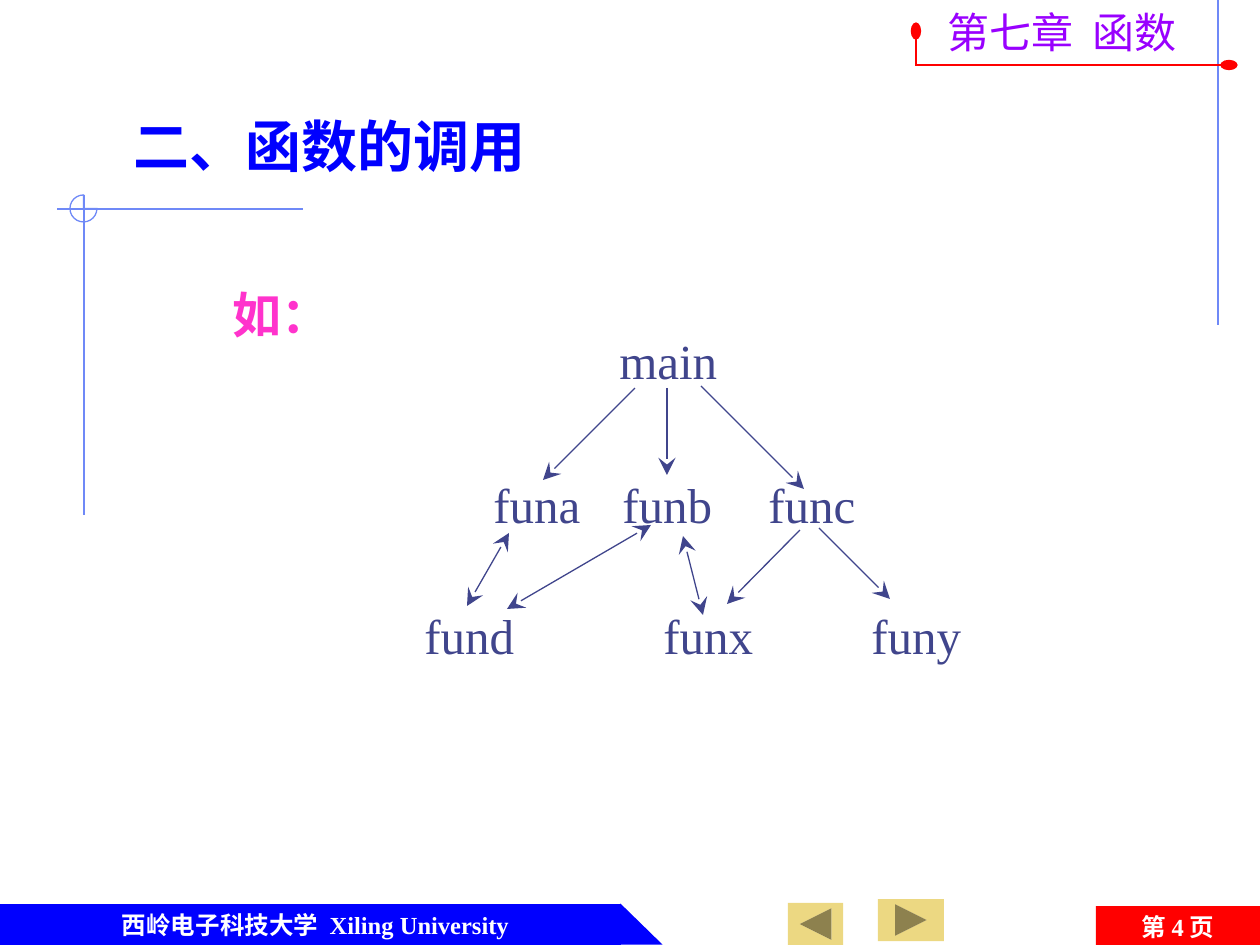
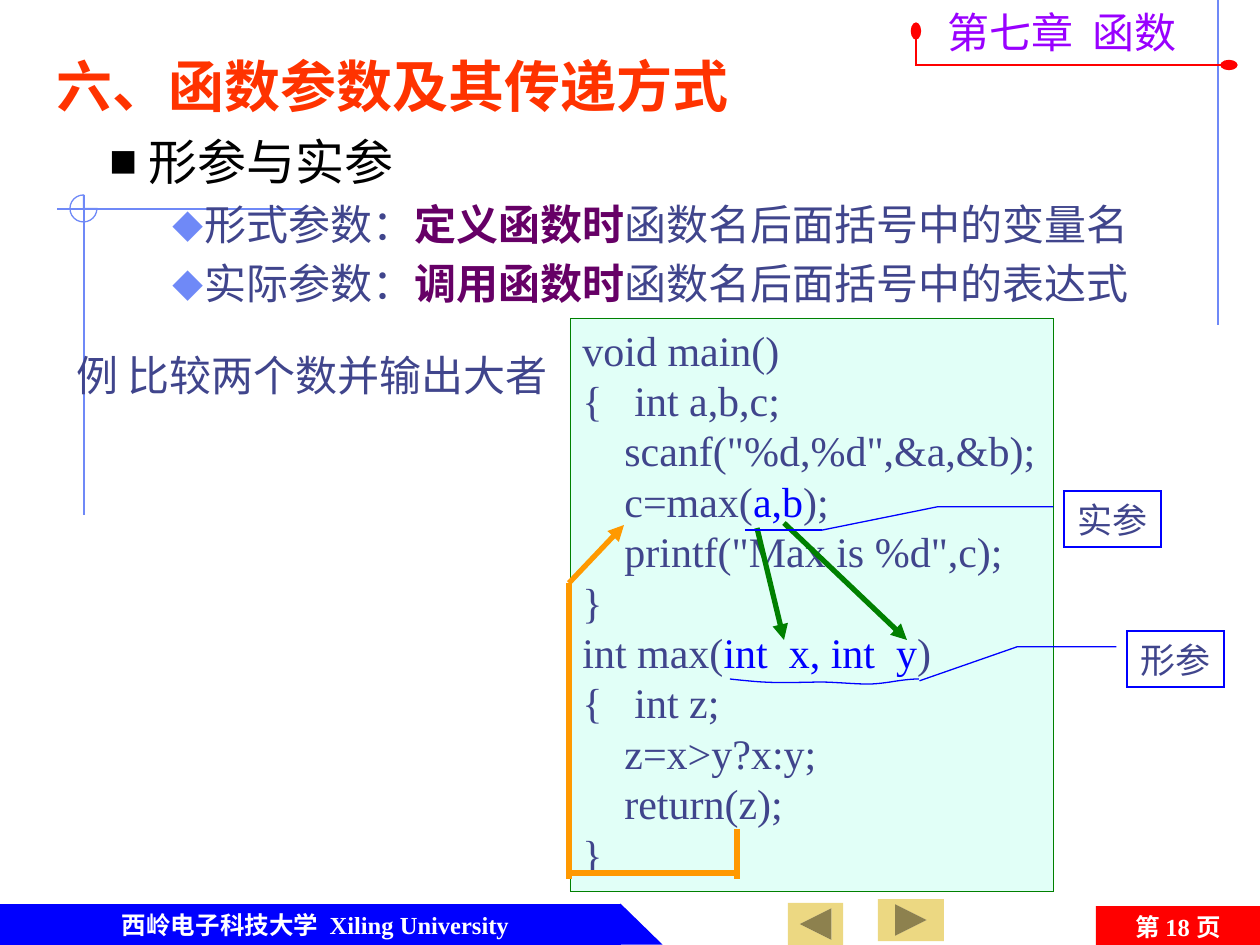
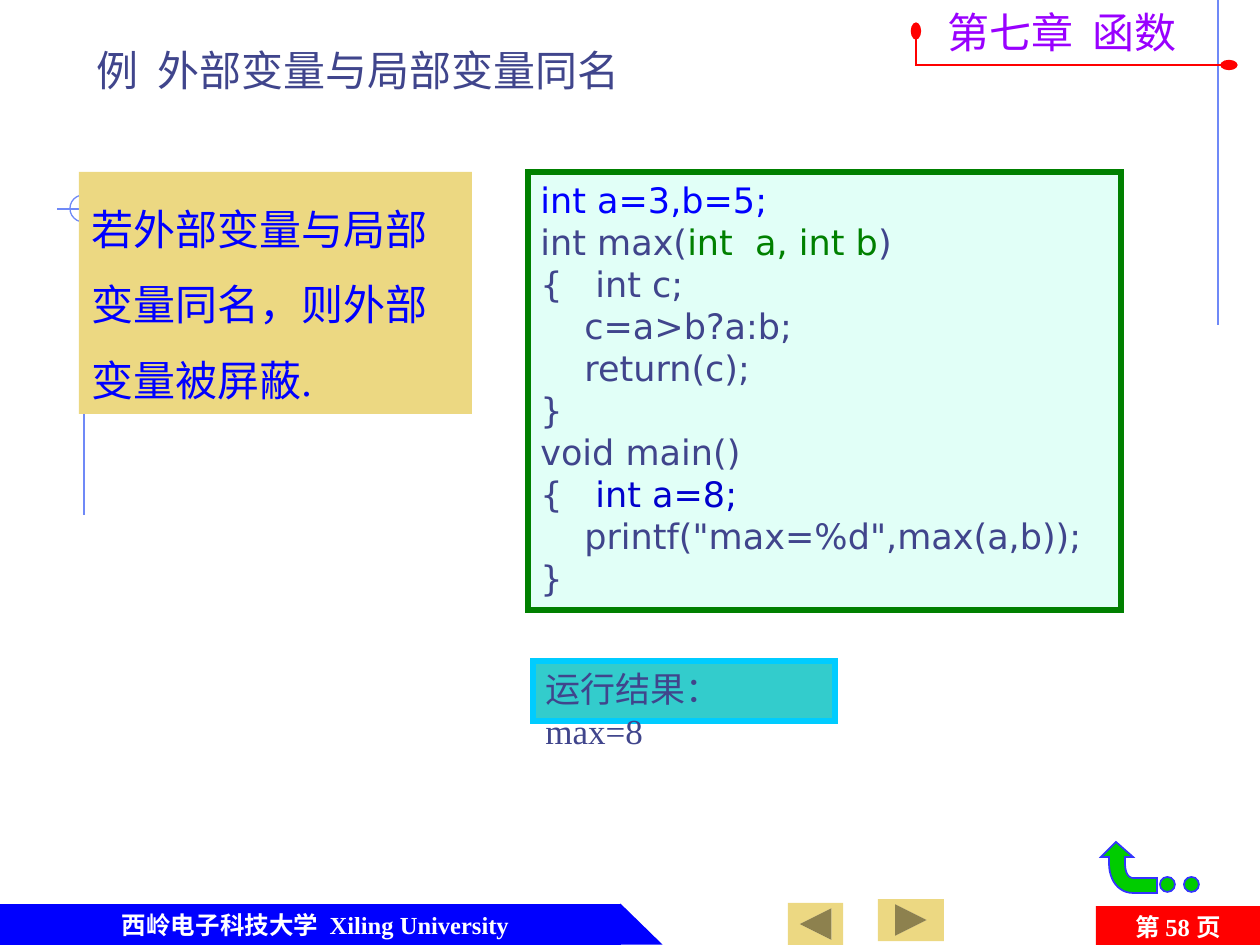
"""Build three lecture slides on functions in C."""
from dataclasses import dataclass, replace
from typing import NamedTuple, Optional, Sequence, Union

from lxml import etree
from pptx import Presentation
from pptx import util as u
from pptx.dml.color import RGBColor
from pptx.enum import shapes, text
from pptx.oxml.ns import qn

EMU_PER_PX = 914400 / 126
KIND = shapes.MSO_SHAPE
LEFT, CENTER = text.PP_ALIGN.LEFT, text.PP_ALIGN.CENTER
TOP, MIDDLE, BOTTOM = text.MSO_ANCHOR.TOP, text.MSO_ANCHOR.MIDDLE, text.MSO_ANCHOR.BOTTOM
HEAD_SIZES = {"stealth": ("lg", "lg"), "oval": ("med", "lg"), "triangle": ("med", "med")}


@dataclass(frozen=True)
class Theme:
    """Colours, fonts and type sizes of the deck."""

    ink: str = "40458C"
    frame: str = "6F89F7"
    blue: str = "0000FF"
    navy: str = "0000CC"
    red: str = "FF0000"
    vermilion: str = "FF3300"
    pink: str = "FF33CC"
    violet: str = "9900FF"
    plum: str = "660066"
    green: str = "008000"
    lime: str = "00CC00"
    indigo: str = "3333FF"
    orange: str = "FF9900"
    gold: str = "ECD882"
    mint: str = "E1FFF7"
    teal: str = "33CCCC"
    sky: str = "00CCFF"
    white: str = "FFFFFF"
    black: str = "000000"
    serif: str = "Times New Roman"
    sans: str = "Noto Sans CJK SC"
    code: str = "DejaVu Sans"
    body: str = "Cabin"
    title: int = 32
    large: int = 28
    normal: int = 24
    small: int = 20
    footer: int = 14
    leading: float = 1.2
    thin: float = 0.75
    thick: float = 3


THEME = Theme()


class Box(NamedTuple):
    """A rectangle in px."""

    left: int
    top: int
    width: int
    height: int


class Point(NamedTuple):
    """A place in px."""

    x: float
    y: float


class Curve(NamedTuple):
    """A cubic curve: two control points and its end."""

    first: Point
    second: Point
    end: Point


@dataclass(frozen=True)
class Style:
    """The look of a piece of text."""

    size: int = THEME.normal
    color: str = THEME.ink
    font: str = THEME.serif
    bold: bool = False


class Span(NamedTuple):
    """Text with what differs from the style of its line."""

    text: str
    changes: dict = {}


class Bullet(NamedTuple):
    """A list mark."""

    mark: str
    percent: int
    color: str


@dataclass(frozen=True)
class Line:
    """One paragraph."""

    spans: Sequence[Span]
    style: Style
    indent: int = 0
    hanging: int = 0
    level: int = 0
    before: float = 0
    bullet: Optional[Bullet] = None


class Arrow(NamedTuple):
    """A straight line with optional arrowheads."""

    start: Point
    end: Point
    head: str = ""
    tail: str = ""


class Callout(NamedTuple):
    """A label with a bent leader."""

    label: str
    box: Box
    leader: Sequence[float]


Row = Union[str, Sequence[Span]]


def px(length: float) -> u.Emu:
    """Turn px into EMU."""
    return u.Emu(round(length * EMU_PER_PX))


def rgb(color: str) -> RGBColor:
    """Turn a hex colour into an RGBColor."""
    return RGBColor.from_string(color)


def add_xml(parent, tag: str, **attributes):
    """Append a DrawingML element."""
    return etree.SubElement(parent, qn(f"a:{tag}"), attributes)


def set_font(font, style: Style) -> None:
    """Apply a style to a font."""
    font.size, font.name, font.bold = u.Pt(style.size), style.font, style.bold
    font.color.rgb = rgb(style.color)


def set_layout(paragraph, line: Line) -> None:
    """Apply indents and bullet to a paragraph."""
    properties = paragraph._p.get_or_add_pPr()
    properties.set("marL", str(px(line.indent)))
    properties.set("indent", str(px(-line.hanging)))
    if line.bullet:
        add_xml(add_xml(properties, "buClr"), "srgbClr", val=line.bullet.color)
        add_xml(properties, "buSzPct", val=str(line.bullet.percent * 1000))
        add_xml(properties, "buFont", typeface=THEME.code)
        add_xml(properties, "buChar", char=line.bullet.mark)


def write(shape, lines: Sequence[Line], align=LEFT, anchor=TOP,
          wrap: bool = True, spacing: float = 1) -> None:
    """Fill a shape with paragraphs."""
    frame = shape.text_frame
    frame.auto_size = text.MSO_AUTO_SIZE.NONE
    frame.word_wrap, frame.vertical_anchor = wrap, anchor
    for index, line in enumerate(lines):
        paragraph = frame.add_paragraph() if index else frame.paragraphs[0]
        set_layout(paragraph, line)
        paragraph.level, paragraph.alignment = line.level, align
        paragraph.line_spacing = u.Pt(line.style.size * THEME.leading * spacing)
        paragraph.space_before = u.Pt(line.before)
        styles = [replace(line.style, **span.changes) for span in line.spans]
        if len(set(styles)) == 1:
            paragraph.text = "".join(span.text for span in line.spans)
            set_font(paragraph.font, styles[0])
            continue
        for span, style in zip(line.spans, styles):
            run = paragraph.add_run()
            run.text = span.text
            set_font(run.font, style)


def plain(words: str, style: Style) -> list[Line]:
    """Make a single paragraph in one style."""
    return [Line([Span(words)], style)]


def code_lines(rows: Sequence[Row], style: Style, indent: int, brace: int) -> list[Line]:
    """Turn rows into paragraphs; a leading tab indents, a tab after a brace hangs."""
    lines = []
    for row in rows:
        spans = [Span(row)] if isinstance(row, str) else list(row)
        first = spans[0].text
        spans[0] = spans[0]._replace(text=first.lstrip("\t"))
        if first.startswith("\t"):
            lines.append(Line(spans, style, indent))
        elif "\t" in first:
            lines.append(Line(spans, style, brace, brace))
        else:
            lines.append(Line(spans, style))
    return lines


def paint(shape, fill: str = "", line: str = "", width: float = THEME.thin) -> None:
    """Set fill and mitred outline, and drop the shadow."""
    shape.shadow.inherit = False
    if fill:
        shape.fill.solid()
        shape.fill.fore_color.rgb = rgb(fill)
    else:
        shape.fill.background()
    if line:
        shape.line.color.rgb, shape.line.width = rgb(line), u.Pt(width)
        add_xml(shape.element.spPr.find(qn("a:ln")), "miter", lim="800000")
    else:
        shape.line.fill.background()


def add_shape(slide, kind, box: Box, fill: str = "", line: str = "", width: float = THEME.thin):
    """Add a preset shape."""
    shape = slide.shapes.add_shape(kind, *map(px, box))
    paint(shape, fill, line, width)
    return shape


def add_text(slide, box: Box, lines: Sequence[Line], **options) -> None:
    """Add a text box."""
    write(slide.shapes.add_textbox(*map(px, box)), lines, **options)


def add_ends(shape, head: str, tail: str) -> None:
    """Put arrowheads on a line."""
    outline = shape.element.spPr.find(qn("a:ln"))
    for tag, kind in (("headEnd", head), ("tailEnd", tail)):
        if kind:
            width, length = HEAD_SIZES[kind]
            add_xml(outline, tag, type=kind, w=width, len=length)


def add_arrow(slide, arrow: Arrow, color: str, width: float = THEME.thin) -> None:
    """Add a straight connector."""
    connector = slide.shapes.add_connector(
        shapes.MSO_CONNECTOR.STRAIGHT, *map(px, (*arrow.start, *arrow.end)))
    connector.line.color.rgb, connector.line.width = rgb(color), u.Pt(width)
    add_ends(connector, arrow.head, arrow.tail)
    add_xml(connector.element.spPr, "effectLst")


def trace(steps: Sequence[Union[Point, Curve]], pieces: int = 12) -> list[Point]:
    """Turn points and curves into a chain of points."""
    points: list[Point] = []
    for step in steps:
        if isinstance(step, Point):
            points.append(step)
            continue
        nodes = (points[-1], *step)
        for index in range(1, pieces + 1):
            t = index / pieces
            weights = ((1 - t) ** 3, 3 * t * (1 - t) ** 2, 3 * t * t * (1 - t), t ** 3)
            points.append(Point(sum(w * n.x for w, n in zip(weights, nodes)),
                                sum(w * n.y for w, n in zip(weights, nodes))))
    return points


def add_outline(slide, steps, line: str, width: float, fill: str = "", close: bool = False):
    """Add a freeform along points and curves."""
    first, *rest = [(px(x), px(y)) for x, y in trace(steps)]
    builder = slide.shapes.build_freeform(*first)
    builder.add_line_segments(rest, close=close)
    shape = builder.convert_to_shape()
    paint(shape, fill, line, width)
    return shape


def add_frame(slide, number: int) -> None:
    """Draw the rules, chapter mark and footer shared by all slides."""
    for start, end in ((Point(1218, 0), Point(1218, 325)), (Point(303, 209), Point(57, 209)),
                       (Point(84, 195), Point(84, 515))):
        add_arrow(slide, Arrow(start, end), THEME.frame)
    add_shape(slide, KIND.PIE, Box(70, 195, 27, 27), line=THEME.frame)
    add_shape(slide, KIND.RECTANGLE, Box(0, 905, 620, 39), THEME.blue, THEME.blue)
    add_shape(slide, KIND.RIGHT_TRIANGLE, Box(621, 905, 40, 39), THEME.blue, THEME.blue)
    footer = Style(THEME.footer, THEME.white, bold=True)
    add_text(slide, Box(36, 904, 559, 39),
             plain("西岭电子科技大学  Xiling University", footer), align=CENTER)
    page = add_shape(slide, KIND.RECTANGLE, Box(1096, 906, 164, 41), THEME.red)
    sans = {"font": THEME.sans}
    write(page, [Line([Span("第 ", sans), Span(f"{number} "), Span("页", sans)], footer)],
          align=CENTER)
    add_shape(slide, KIND.ACTION_BUTTON_FORWARD_OR_NEXT, Box(878, 899, 66, 42), THEME.gold)
    back = add_shape(slide, KIND.ACTION_BUTTON_FORWARD_OR_NEXT, Box(788, 903, 55, 42), THEME.gold)
    back.rotation = 180
    add_text(slide, Box(935, 0, 277, 63),
             plain("第七章  函数", Style(color=THEME.violet, font=THEME.sans)))
    bracket = add_outline(slide, [Point(916, 31), Point(916, 65), Point(1229, 65)], THEME.red, 1.5)
    add_ends(bracket, "oval", "oval")


def add_slide(presentation, number: int, title: str, box: Box, style: Style, anchor=TOP):
    """Add a slide with its title and the shared frame."""
    slide = presentation.slides.add_slide(presentation.slide_layouts[5])
    shape = slide.shapes.title
    shape.left, shape.top, shape.width, shape.height = map(px, box)
    write(shape, plain(title, style), anchor=anchor)
    add_frame(slide, number)
    return slide


def build_calls(presentation) -> None:
    """Show which function calls which."""
    slide = add_slide(presentation, 4, "二、函数的调用", Box(121, 105, 625, 79),
                      Style(THEME.title, THEME.blue, bold=True))
    add_text(slide, Box(220, 278, 141, 72), plain("如：", Style(THEME.large, THEME.pink, bold=True)))
    functions = (("main", 607, 324), ("funa", 481, 468), ("funb", 610, 468), ("func", 756, 468),
                 ("fund", 412, 599), ("funx", 651, 599), ("funy", 859, 599))
    for name, left, top in functions:
        width = 123 if name == "main" else 114
        add_text(slide, Box(left, top, width, 72), plain(name, Style(THEME.large)), wrap=False)
    one_way = ((667, 388, 667, 475), (701, 386, 804, 489), (635, 388, 543, 480),
               (800, 530, 727, 604), (819, 528, 890, 599))
    two_way = ((509, 533, 467, 606), (651, 525, 507, 609), (683, 536, 703, 615))
    for calls, head in ((one_way, ""), (two_way, "stealth")):
        for x1, y1, x2, y2 in calls:
            add_arrow(slide, Arrow(Point(x1, y1), Point(x2, y2), head, "stealth"), THEME.ink)


def build_parameters(presentation) -> None:
    """Explain formal and actual parameters."""
    slide = add_slide(presentation, 18, "六、函数参数及其传递方式", Box(44, 45, 903, 79),
                      Style(THEME.title, THEME.vermilion, THEME.sans, True))
    blue = {"color": THEME.blue}
    code = add_shape(slide, KIND.RECTANGLE, Box(570, 318, 483, 573), THEME.mint, THEME.green, 0.25)
    rows: list[Row] = [
        "void main()", "{\tint a,b,c;", '\tscanf("%d,%d",&a,&b);',
        [Span("\tc=max("), Span("a,b", blue), Span(");")],
        '\tprintf("Max is %d",c);', "}",
        [Span("int max("), Span("int  x, int  y", blue), Span(")")],
        "{\tint z;", "\tz=x>y?x:y;", "\treturn(z);", "}"]
    write(code, code_lines(rows, Style(), indent=42, brace=52))

    heading = Style(THEME.large, THEME.black, THEME.body)
    detail = Style(font=THEME.body)
    strong = {"color": THEME.plum, "bold": True}
    lines = [Line([Span("形参与实参")], heading, 102, 39, level=1, before=5.6,
                  bullet=Bullet("■", 60, THEME.black))]
    for term, moment, meaning in (("形式参数：", "定义函数时", "函数名后面括号中的变量名"),
                                  ("实际参数：", "调用函数时", "函数名后面括号中的表达式")):
        lines.append(Line([Span(term), Span(moment, strong), Span(meaning)], detail, 158, 32,
                          level=2, before=4.8, bullet=Bullet("◆", 95, THEME.frame)))
    add_text(slide, Box(34, 125, 1178, 291), lines)

    for start, end in ((Point(757, 528), Point(784, 640)), (Point(784, 523), Point(907, 640))):
        add_arrow(slide, Arrow(start, end, tail="triangle"), THEME.green, THEME.thick)
    for start, end, tail in ((Point(737, 829), Point(737, 879), ""),
                             (Point(739, 873), Point(570, 873), ""),
                             (Point(569, 879), Point(569, 583), ""),
                             (Point(569, 583), Point(624, 525), "triangle")):
        add_arrow(slide, Arrow(start, end, tail=tail), THEME.orange, THEME.thick)
    add_text(slide, Box(64, 343, 498, 63), plain("例 比较两个数并输出大者", Style()), wrap=False)

    wave = [Point(730, 679), Curve(Point(766, 683), Point(775, 683), Point(819, 682)),
            Curve(Point(835, 682), Point(852, 684), Point(868, 684)),
            Curve(Point(886, 684), Point(901, 679), Point(919, 679))]
    add_outline(slide, wave, THEME.blue, THEME.thin)
    add_arrow(slide, Arrow(Point(745, 530), Point(822, 530)), THEME.blue)
    for callout in (
            Callout("形参", Box(1127, 631, 97, 56), (0.28, -0.11, 0.28, -1.13, 0.89, -2.14)),
            Callout("实参", Box(1064, 491, 97, 56), (0.28, -0.11, 0.28, -1.3, 0.7, -2.5))):
        shape = add_shape(slide, KIND.LINE_CALLOUT_2, callout.box, THEME.white, THEME.blue)
        for index, value in enumerate(callout.leader):
            shape.adjustments[index] = value
        write(shape, plain(callout.label, Style(THEME.small)), CENTER, MIDDLE, wrap=False)


def build_scope(presentation) -> None:
    """Show a local variable hiding an external one."""
    slide = add_slide(presentation, 58, "例  外部变量与局部变量同名", Box(84, 42, 1071, 59),
                      Style(), BOTTOM)
    code = add_shape(slide, KIND.RECTANGLE, Box(528, 172, 593, 438),
                     THEME.mint, THEME.green, THEME.thick)
    rows: list[Row] = [
        [Span("int a=3,b=5;", {"color": THEME.blue})],
        [Span("int max("), Span("int  a, int b", {"color": THEME.green}), Span(")")],
        "{\tint c;", "\tc=a>b?a:b;", "\treturn(c);", "}", "void main()",
        [Span("{\t"), Span("int a=8;", {"color": THEME.navy})],
        '\tprintf("max=%d",max(a,b));', "}"]
    write(code, code_lines(rows, Style(THEME.small, font=THEME.code), indent=44, brace=55))
    result = add_shape(slide, KIND.RECTANGLE, Box(533, 661, 302, 60),
                       THEME.teal, THEME.sky, THEME.thick)
    write(result, plain("运行结果：\vmax=8", Style(THEME.small)))

    bent_arrow = [Point(1116, 842), Point(1101, 857), Point(1109, 857), Point(1109, 863),
                  Curve(Point(1109, 881), Point(1119, 893), Point(1133, 893)),
                  Point(1157, 893), Point(1157, 878), Point(1133, 878),
                  Curve(Point(1128, 878), Point(1125, 872), Point(1125, 863)),
                  Point(1125, 857), Point(1133, 857)]
    add_outline(slide, bent_arrow, THEME.indigo, 1, THEME.lime, close=True)
    for left in (1160, 1184):
        add_shape(slide, KIND.OVAL, Box(left, 877, 15, 15), THEME.lime, THEME.indigo, 1)
    note = add_shape(slide, KIND.RECTANGLE, Box(79, 172, 393, 242), THEME.gold)
    write(note, plain("若外部变量与局部变量同名，则外部变量被屏蔽.", Style(color=THEME.blue)),
          spacing=1.5)


def main() -> None:
    """Build and save the deck."""
    presentation = Presentation()
    presentation.slide_width, presentation.slide_height = px(1260), px(945)
    build_calls(presentation)
    build_parameters(presentation)
    build_scope(presentation)
    presentation.save("out.pptx")


if __name__ == "__main__":
    main()
